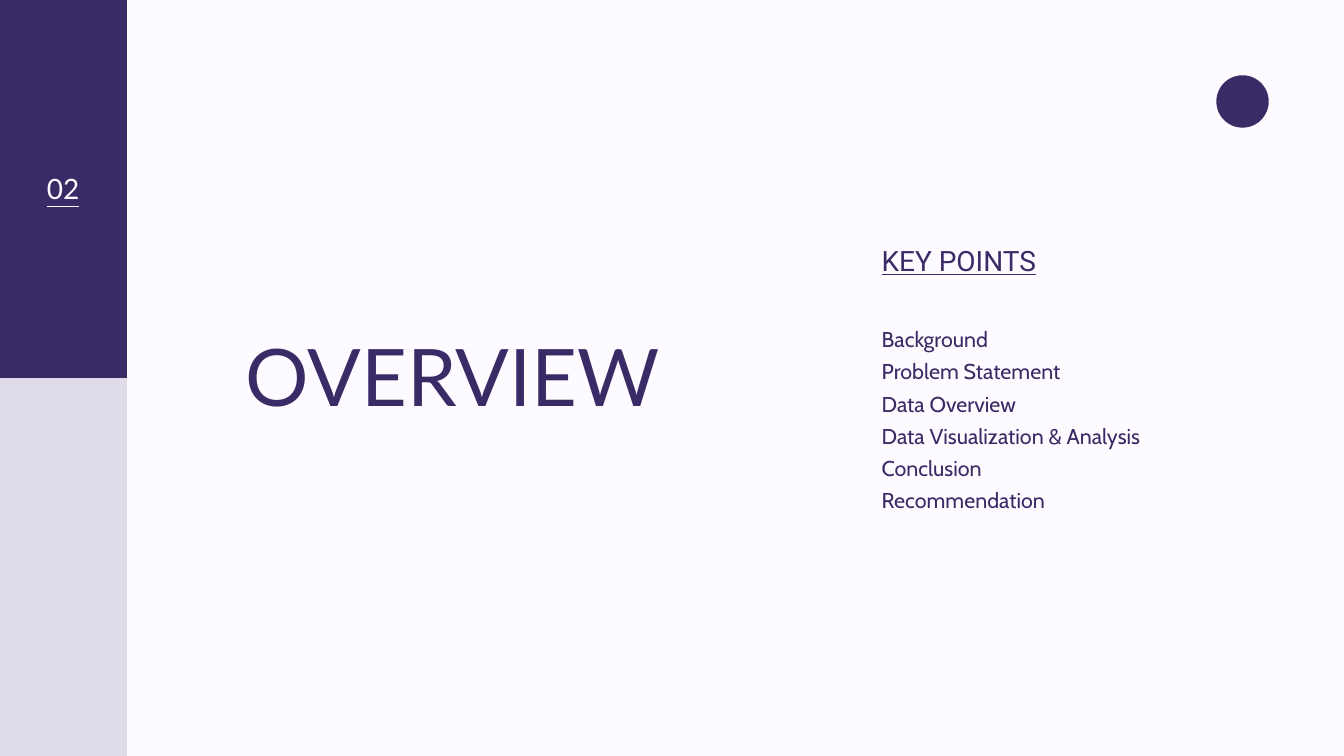
from pptx import Presentation
from pptx.dml.color import RGBColor
from pptx.enum.shapes import MSO_SHAPE
from pptx.enum.text import MSO_ANCHOR, PP_ALIGN
from pptx.util import Inches, Pt

WIDTH, HEIGHT = 20, 11.25
PURPLE, LILAC, PAPER = "3A2A66", "E0DBE9", "FDFBFF"
BAR_WIDTH = 1.89

TITLE = "OVERVIEW"
NUMBER = "02"
HEADING = "KEY POINTS"
POINTS = [
    "Background",
    "Problem Statement",
    "Data Overview",
    "Data Visualization & Analysis",
    "Conclusion",
    "Recommendation",
]


def rgb(color):
    return RGBColor.from_string(color)


def add_block(s, kind, box, color):
    sp = s.shapes.add_shape(kind, *map(Inches, box))
    sp.shadow.inherit = False
    sp.fill.solid()
    sp.fill.fore_color.rgb = rgb(color)
    sp.line.fill.background()


def write(sp, lines, font, size, spacing, color=PURPLE, underline=False,
          align=PP_ALIGN.LEFT):
    tf = sp.text_frame
    tf.word_wrap = True
    tf.vertical_anchor = MSO_ANCHOR.TOP
    tf.margin_left = tf.margin_right = tf.margin_top = tf.margin_bottom = 0
    tf.text = "\n".join(lines)
    for p in tf.paragraphs:
        p.alignment = align
        p.line_spacing = Pt(spacing)
        p.space_before = Pt(0)
        p.font.name = font
        p.font.size = Pt(size)
        p.font.color.rgb = rgb(color)
        p.font.underline = underline


def add_text(s, box, lines, *style, **options):
    write(s.shapes.add_textbox(*map(Inches, box)), lines, *style, **options)


def main():
    """Build the overview slide with its sidebar, title and key points."""
    prs = Presentation()
    prs.slide_width, prs.slide_height = Inches(WIDTH), Inches(HEIGHT)
    s = prs.slides.add_slide(prs.slide_layouts[5])
    s.background.fill.solid()
    s.background.fill.fore_color.rgb = rgb(PAPER)

    half = HEIGHT / 2
    for top, color in ((half, LILAC), (0, PURPLE)):
        add_block(s, MSO_SHAPE.RECTANGLE, (0, top, BAR_WIDTH, half), color)
    add_block(s, MSO_SHAPE.OVAL, (18.1, 1.12, 0.78, 0.78), PURPLE)

    title = s.shapes.title
    title.left, title.top = Inches(3.66), Inches(5.1)
    title.width, title.height = Inches(7.68), Inches(1.24)
    write(title, [TITLE], "Lato", 85, 85)

    add_text(s, (13.12, 3.67, 4.71, 0.48), [HEADING], "Roboto", 30, 33,
             underline=True)
    add_text(s, (13.12, 4.76, 4.71, 2.83), POINTS, "Cabin", 23, 34.5)
    add_text(s, (0.5, 2.59, 0.88, 0.47), [NUMBER], "Lato", 30, 33,
             color=PAPER, underline=True, align=PP_ALIGN.CENTER)
    prs.save("out.pptx")


if __name__ == "__main__":
    main()
